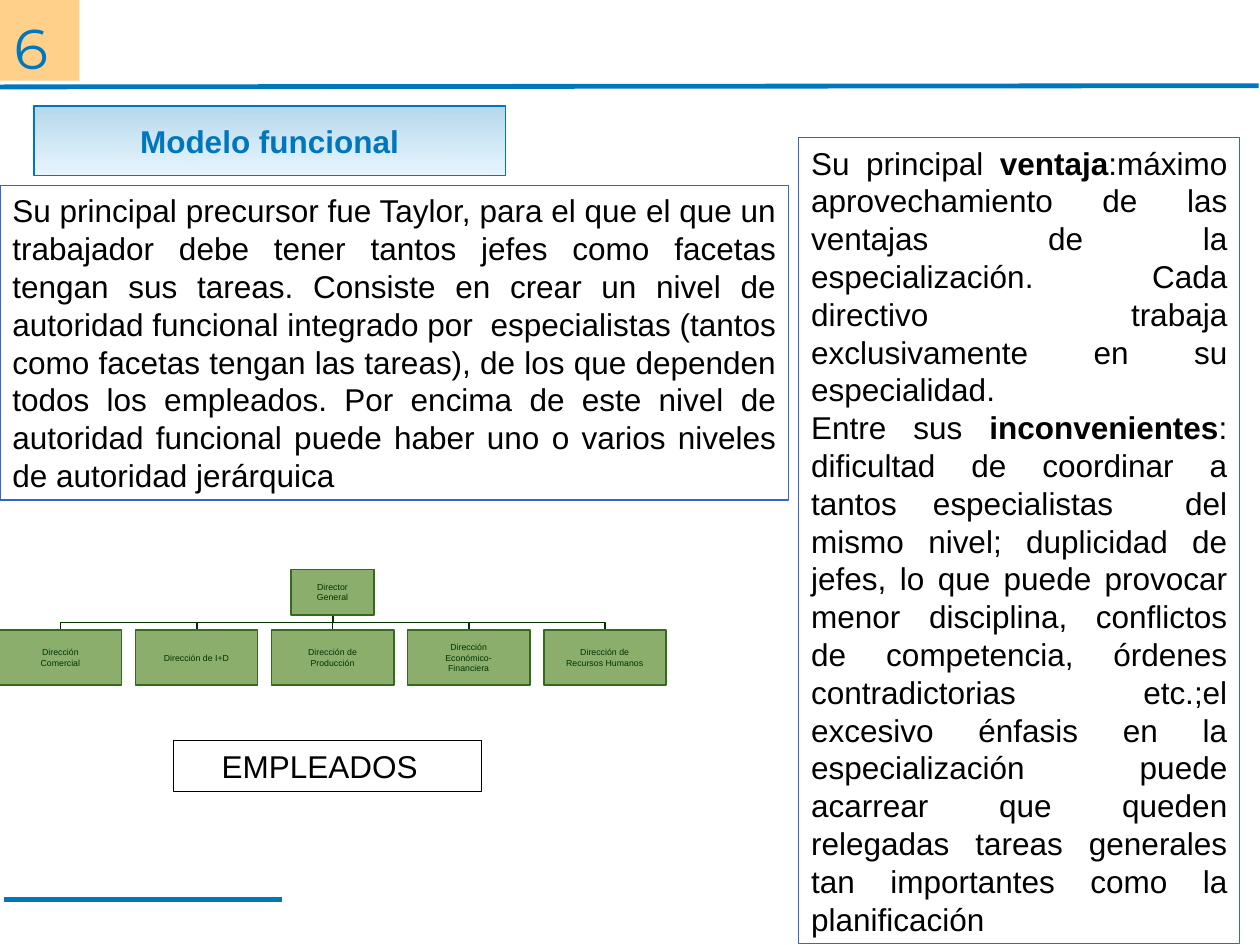
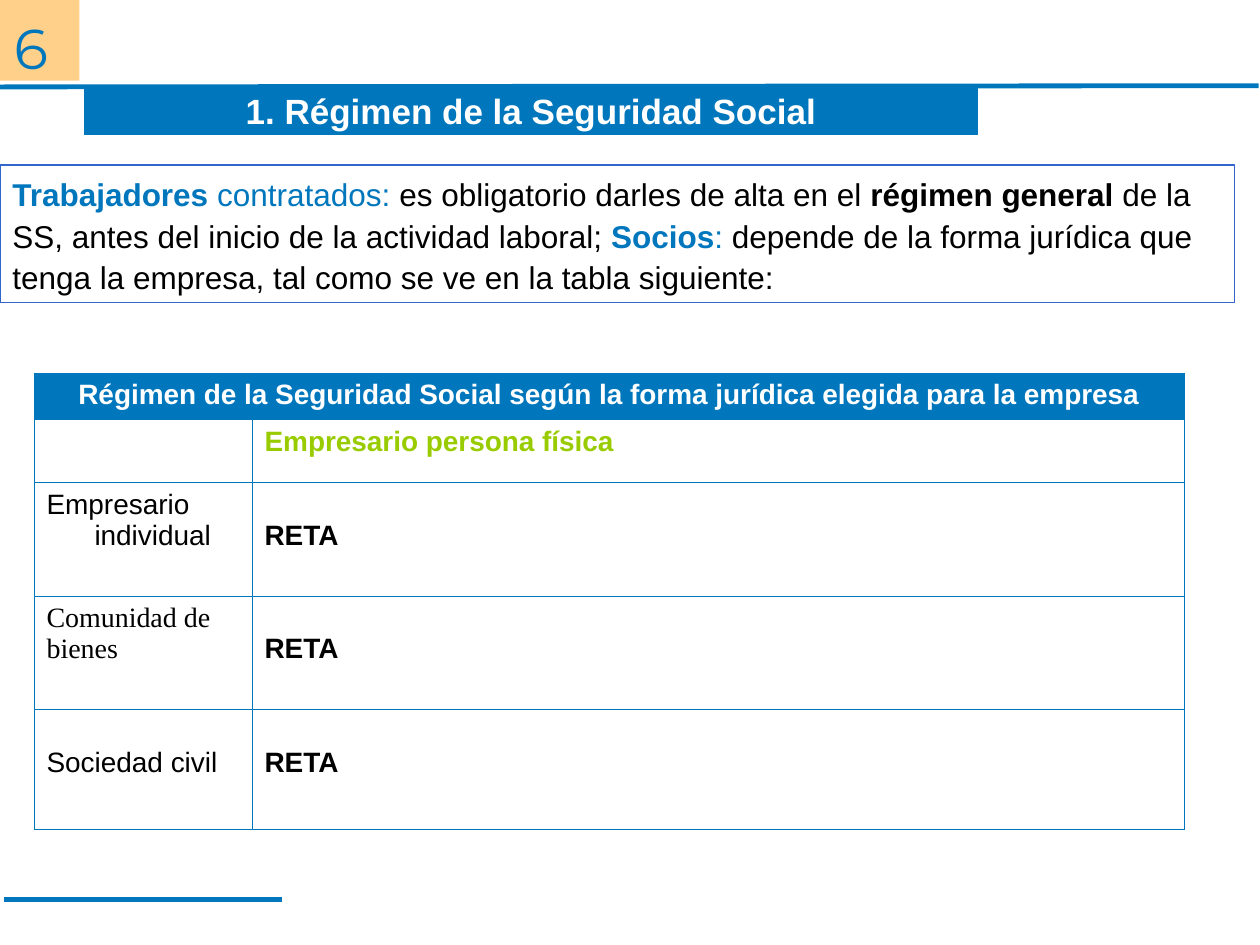
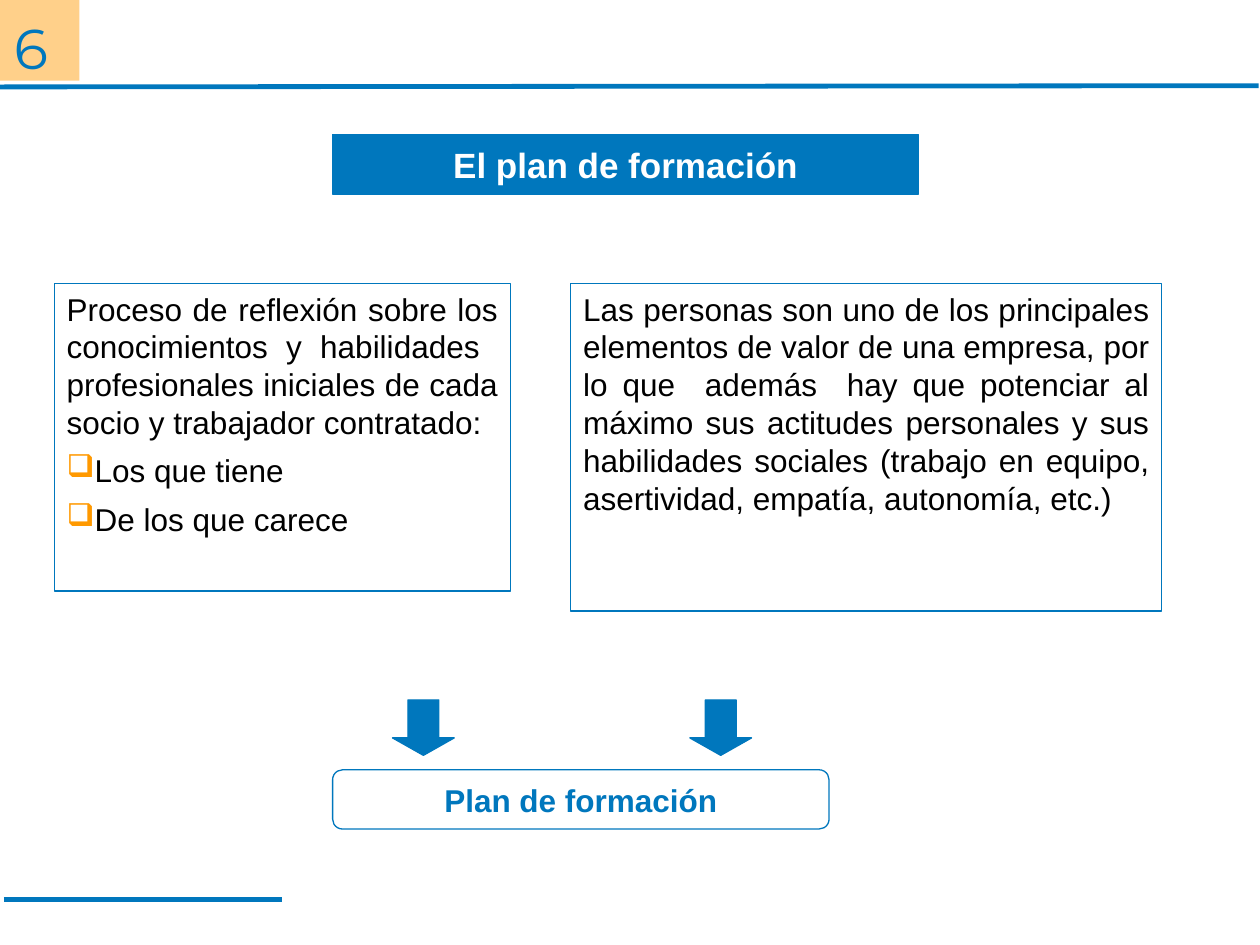
from dataclasses import dataclass
from typing import NamedTuple, Optional

from lxml.etree import SubElement
from pptx import Presentation
from pptx.dml.color import RGBColor
from pptx.enum.shapes import MSO_CONNECTOR as Line, MSO_SHAPE as Shape
from pptx.enum.text import MSO_ANCHOR as Anchor, PP_ALIGN as Align
from pptx.oxml.ns import qn
from pptx.util import Inches, Pt


@dataclass(frozen=True)
class Theme:
    blue: str = "0077BD"
    sky: str = "A1DBFF"
    frame: str = "3366CC"
    orange: str = "FF9900"
    lime: str = "99CC00"
    leaf: str = "8BAE6C"
    leaf_edge: str = "366B1B"
    forest: str = "003300"
    black: str = "000000"
    white: str = "FFFFFF"
    font: str = "Arial"
    badge_font: str = "Montserrat"
    serif_font: str = "Times New Roman"
    badge: int = 32
    title: int = 20
    body: int = 18
    table: int = 16
    chart: int = 5
    thin: float = 0.75
    rule: float = 2.75
    grid: float = 0.45


class Run(NamedTuple):
    text: str
    bold: bool = False
    color: Optional[str] = None


def rgb(value):
    return RGBColor.from_string(value)


def set_alpha(shape, *percents):
    """Give the fill colours of a shape their opacity, in order."""
    for color, percent in zip(list(shape.element.spPr.iter(qn("a:srgbClr"))), percents):
        SubElement(color, qn("a:alpha")).set("val", str(percent * 1000))


class Deck:
    def __init__(self, theme):
        self.theme = theme
        self.prs = Presentation()
        self.prs.slide_width, self.prs.slide_height = Inches(10), Inches(7.5)
        self.slide = None

    def new_slide(self):
        """Start a slide with the unit badge and the two rules."""
        t = self.theme
        self.slide = self.prs.slides.add_slide(self.prs.slide_layouts[6])
        self.line((0, 0.69), (9.99, 0.68), t.blue, t.rule)
        badge = self.box((0, 0, 0.63, 0.64), [[Run("6")]], fill=t.orange, size=t.badge,
                         font=t.badge_font, color=t.blue, anchor=Anchor.TOP,
                         insets=(0.11, 0, 0, 0), spacing=1.2)
        set_alpha(badge, 46)
        self.line((0.03, 7.14), (2.24, 7.14), t.blue, t.rule)

    def line(self, start, end, color, width, kind=Line.STRAIGHT):
        connector = self.slide.shapes.add_connector(kind, *map(Inches, start + end))
        connector.line.color.rgb = rgb(color)
        connector.line.width = Pt(width)
        SubElement(connector.element.spPr, qn("a:effectLst"))
        return connector

    def branch(self, child, parent, color, width):
        """Join the top of a child to the foot of its parent, bending half way."""
        dx, dy = parent[0] - child[0], child[1] - parent[1]
        if abs(dx) < 0.01:
            return self.line(child, parent, color, width)
        mid_x, mid_y = (child[0] + parent[0]) / 2, (child[1] + parent[1]) / 2
        half_w = dy / 2 if dx > 0 else -dy / 2
        half_h = abs(dx) / 2
        elbow = self.line((mid_x + half_w, mid_y + half_h), (mid_x - half_w, mid_y - half_h),
                          color, width, Line.ELBOW)
        turn = 90 if dx > 0 else 270
        elbow.element.spPr.find(qn("a:xfrm")).set("rot", str(turn * 60000))
        return elbow

    def box(self, at, paragraphs=(), kind=Shape.RECTANGLE, fill=None, edge=None, width=None,
            anchor=Anchor.MIDDLE, insets=(0.1, 0.05, 0.1, 0.05), wrap=True, **style):
        shape = self.slide.shapes.add_shape(kind, *map(Inches, at))
        shape.shadow.inherit = False
        if fill:
            shape.fill.solid()
            shape.fill.fore_color.rgb = rgb(fill)
        else:
            shape.fill.background()
        if edge:
            shape.line.color.rgb = rgb(edge)
            shape.line.width = Pt(width or self.theme.thin)
        else:
            shape.line.fill.background()
        frame = shape.text_frame
        frame.word_wrap = wrap
        frame.vertical_anchor = anchor
        frame.margin_left, frame.margin_top, frame.margin_right, frame.margin_bottom = map(
            Inches, insets)
        self.add_text(frame, paragraphs, **style)
        return shape

    def add_text(self, frame, paragraphs, size=None, color=None, font=None,
                 align=Align.LEFT, spacing=None, after=None):
        t = self.theme
        for index, runs in enumerate(paragraphs):
            paragraph = frame.add_paragraph() if index else frame.paragraphs[0]
            paragraph.alignment = align
            if spacing:
                paragraph.line_spacing = spacing
            if after:
                paragraph.space_after = Pt(after)
            for part in runs:
                run = paragraph.add_run()
                run.text = part.text
                run.font.size = Pt(size or t.body)
                run.font.name = font or t.font
                run.font.bold = part.bold
                run.font.color.rgb = rgb(part.color or color or t.black)

    def banner(self, at, title):
        t = self.theme
        self.box(at, [[Run(title, True)]], fill=t.blue, edge=t.blue, size=t.title,
                 color=t.white, align=Align.CENTER)

    def bullet(self, paragraph):
        properties = paragraph._p.get_or_add_pPr()
        color = SubElement(properties, qn("a:buClr"))
        SubElement(color, qn("a:srgbClr")).set("val", self.theme.orange)
        SubElement(properties, qn("a:buChar")).set("char", "❑")

    def down_arrow(self, left, top):
        t = self.theme
        arrow = self.box((left, top, 0.44, 0.49), kind=Shape.RIGHT_ARROW, fill=t.blue, edge=t.blue)
        arrow.rotation = 90
        arrow.adjustments[0], arrow.adjustments[1] = 0.5, 0.314

    def table(self, at, widths, heights):
        """Add a plain table with a thin blue grid and no fills."""
        table = self.slide.shapes.add_table(len(heights), len(widths), *map(Inches, at)).table
        table.first_row = table.horz_banding = False
        for column, width in zip(table.columns, widths):
            column.width = Inches(width)
        for row, height in zip(table.rows, heights):
            row.height = Inches(height)
        for cell in table.iter_cells():
            cell.fill.background()
            self.outline(cell)
        return table

    def outline(self, cell):
        properties = cell._tc.get_or_add_tcPr()
        for position, side in enumerate(("lnL", "lnR", "lnT", "lnB")):
            border = SubElement(properties, qn(f"a:{side}"))
            border.set("w", str(Pt(self.theme.grid)))
            solid = SubElement(border, qn("a:solidFill"))
            SubElement(solid, qn("a:srgbClr")).set("val", self.theme.blue)
            properties.insert(position, border)

    def cell(self, cell, text, top=0.05, bold=False, **style):
        cell.margin_top = Inches(top)
        self.add_text(cell.text_frame, [[Run(text, bold)]], size=self.theme.table, **style)


def functional_model(deck):
    t = deck.theme
    deck.new_slide()
    deck.box((0, 1.47, 6.26, 2.5), [[Run(
        "Su principal precursor fue Taylor, para el que el que un trabajador debe tener tantos "
        "jefes como facetas tengan sus tareas. Consiste en crear un nivel de autoridad funcional "
        "integrado por  especialistas (tantos como facetas tengan las tareas), de los que "
        "dependen todos los empleados. Por encima de este nivel de autoridad funcional puede "
        "haber uno o varios niveles de autoridad jerárquica")]],
        edge=t.frame, align=Align.JUSTIFY)

    heading = deck.box((0.27, 0.84, 3.74, 0.55), [[Run("Modelo funcional", True)]],
                       kind=Shape.FLOWCHART_PROCESS, edge=t.blue, color=t.blue,
                       align=Align.CENTER)
    heading.fill.gradient()
    heading.fill.gradient_angle = 270
    for stop, color in zip(heading.fill.gradient_stops, (t.blue, t.sky)):
        stop.color.rgb = rgb(color)
    set_alpha(heading, 30, 25)

    deck.box((6.34, 1.09, 3.5, 6.4), [
        [Run("Su principal "), Run("ventaja", True),
         Run(":máximo aprovechamiento de las ventajas de la especialización. Cada directivo "
             "trabaja exclusivamente en su especialidad.")],
        [Run("Entre sus "), Run("inconvenientes", True),
         Run(": dificultad de coordinar a tantos especialistas  del mismo nivel; duplicidad de "
             "jefes, lo que puede provocar menor disciplina, conflictos de competencia, órdenes "
             "contradictorias etc.;el excesivo énfasis en la especialización  puede acarrear que "
             "queden relegadas tareas generales tan importantes como la planificación")],
    ], edge=t.frame, align=Align.JUSTIFY)

    organization_chart(deck)
    deck.box((1.38, 5.88, 2.44, 0.4), [[Run("EMPLEADOS")]], edge=t.black, anchor=Anchor.TOP,
             insets=(0.38, 0.05, 0.1, 0.05))


def organization_chart(deck):
    t = deck.theme
    departments = [
        ("Dirección", "Comercial"),
        ("Dirección de I+D",),
        ("Dirección de", "Producción"),
        ("Dirección", "Económico-", "Financiera"),
        ("Dirección de", "Recursos Humanos"),
    ]
    width, pitch, top = 0.97, 1.08, 5
    root_x, root_top, root_height = 2.64, 4.52, 0.36
    lefts = [root_x - width / 2 + pitch * (i - 2) for i in range(len(departments))]

    for left in reversed(lefts):
        deck.branch((left + width / 2, top), (root_x, root_top + root_height), t.forest, 1)

    posts = [((root_x - 0.33, root_top, 0.66, root_height), ("Director", "General"))]
    posts += [((left, top, width, 0.44), name) for left, name in zip(lefts, departments)]
    for at, name in posts:
        deck.box(at, [[Run(row)] for row in name], fill=t.leaf, edge=t.leaf_edge, width=1,
                 size=t.chart, color=t.forest, align=Align.CENTER, wrap=False,
                 insets=(0.03, 0.01, 0.03, 0.01))


def social_security(deck):
    t = deck.theme
    deck.new_slide()
    table = deck.table((0.27, 2.96, 9.13, 3.62), (1.73, 7.4), (0.37, 0.5, 0.9, 0.9, 0.95))
    header = table.cell(0, 0)
    header.merge(table.cell(0, 1))
    header.fill.solid()
    header.fill.fore_color.rgb = rgb(t.blue)
    deck.cell(header, "Régimen de la Seguridad Social según la forma jurídica elegida para la "
              "empresa", bold=True, color=t.white, align=Align.CENTER)
    deck.cell(table.cell(1, 1), "Empresario persona física", bold=True, color=t.lime)

    second_line = 0.3
    legal_forms = [
        ("Empresario individual", 0.05, t.font),
        ("Comunidad de bienes", 0.05, t.serif_font),
        ("Sociedad civil", second_line, t.font),
    ]
    for row, (form, top, font) in enumerate(legal_forms, start=2):
        deck.cell(table.cell(row, 0), form, top, font=font)
        deck.cell(table.cell(row, 1), "RETA", second_line, bold=True)
    hanging = table.cell(2, 0).text_frame.paragraphs[0]._p.get_or_add_pPr()
    hanging.set("marL", str(Inches(0.38)))
    hanging.set("indent", str(-Inches(0.38)))

    deck.banner((0.67, 0.68, 7.09, 0.39), "1. Régimen de la Seguridad Social")
    deck.box((0, 1.31, 9.8, 1.09), [[
        Run("Trabajadores ", True, t.blue),
        Run("contratados: ", False, t.blue),
        Run("es obligatorio darles de alta en el "),
        Run("régimen general", True),
        Run(" de la SS, antes del inicio de la actividad laboral; "),
        Run("Socios", True, t.blue),
        Run(":", False, t.blue),
        Run(" depende de la forma jurídica que tenga la empresa, tal como se ve en la tabla "
            "siguiente:"),
    ]], edge=t.frame, spacing=1.1)


def training_plan(deck):
    t = deck.theme
    deck.new_slide()
    deck.banner((2.64, 1.07, 4.65, 0.47), "El plan de formación")
    panel = dict(kind=Shape.FLOWCHART_PROCESS, edge=t.blue, anchor=Anchor.TOP,
                 align=Align.JUSTIFY, after=6)
    reflection = deck.box((0.43, 2.25, 3.62, 2.44), [
        [Run("Proceso de reflexión sobre los conocimientos y habilidades  profesionales "
             "iniciales de cada socio y trabajador contratado:")],
        [Run("Los que tiene")],
        [Run("De los que carece")],
    ], **panel)
    for paragraph in reflection.text_frame.paragraphs[1:]:
        deck.bullet(paragraph)
    deck.box((4.53, 2.25, 4.69, 2.6), [[Run(
        "Las personas son uno de los principales elementos de valor de una empresa, por lo que  "
        "además  hay que potenciar al máximo sus actitudes personales y sus habilidades sociales "
        "(trabajo en equipo, asertividad, empatía, autonomía, etc.)")]], **panel)
    for left in (3.14, 5.5):
        deck.down_arrow(left, 5.53)
    result = deck.box((2.64, 6.11, 3.94, 0.47), [[Run("Plan de formación", True)]],
                      kind=Shape.ROUNDED_RECTANGLE, edge=t.blue, color=t.blue,
                      align=Align.CENTER, insets=(0.02, 0.01, 0.02, 0.01))
    result.adjustments[0] = 0.167


def main():
    deck = Deck(Theme())
    functional_model(deck)
    social_security(deck)
    training_plan(deck)
    deck.prs.save("out.pptx")


if __name__ == "__main__":
    main()
